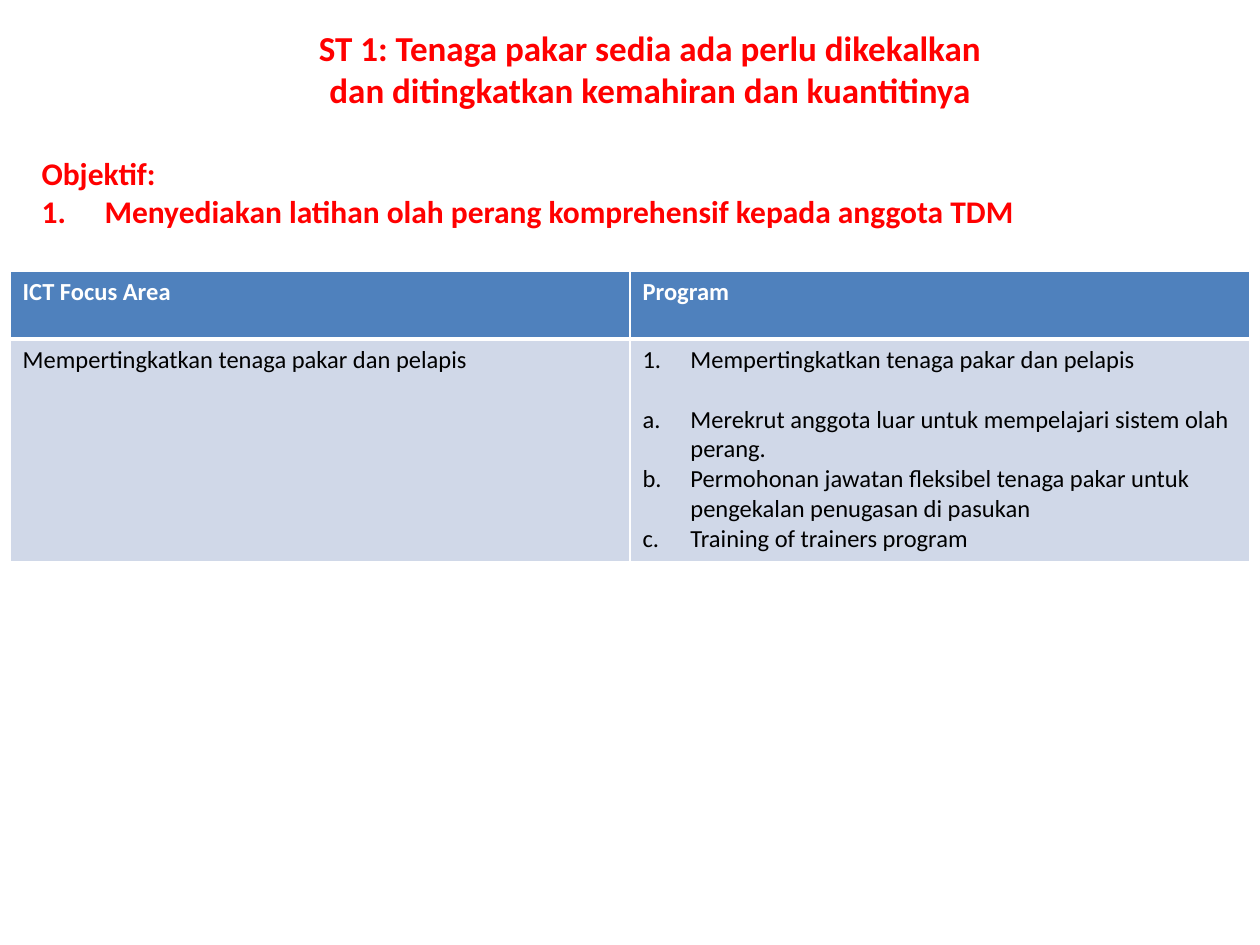
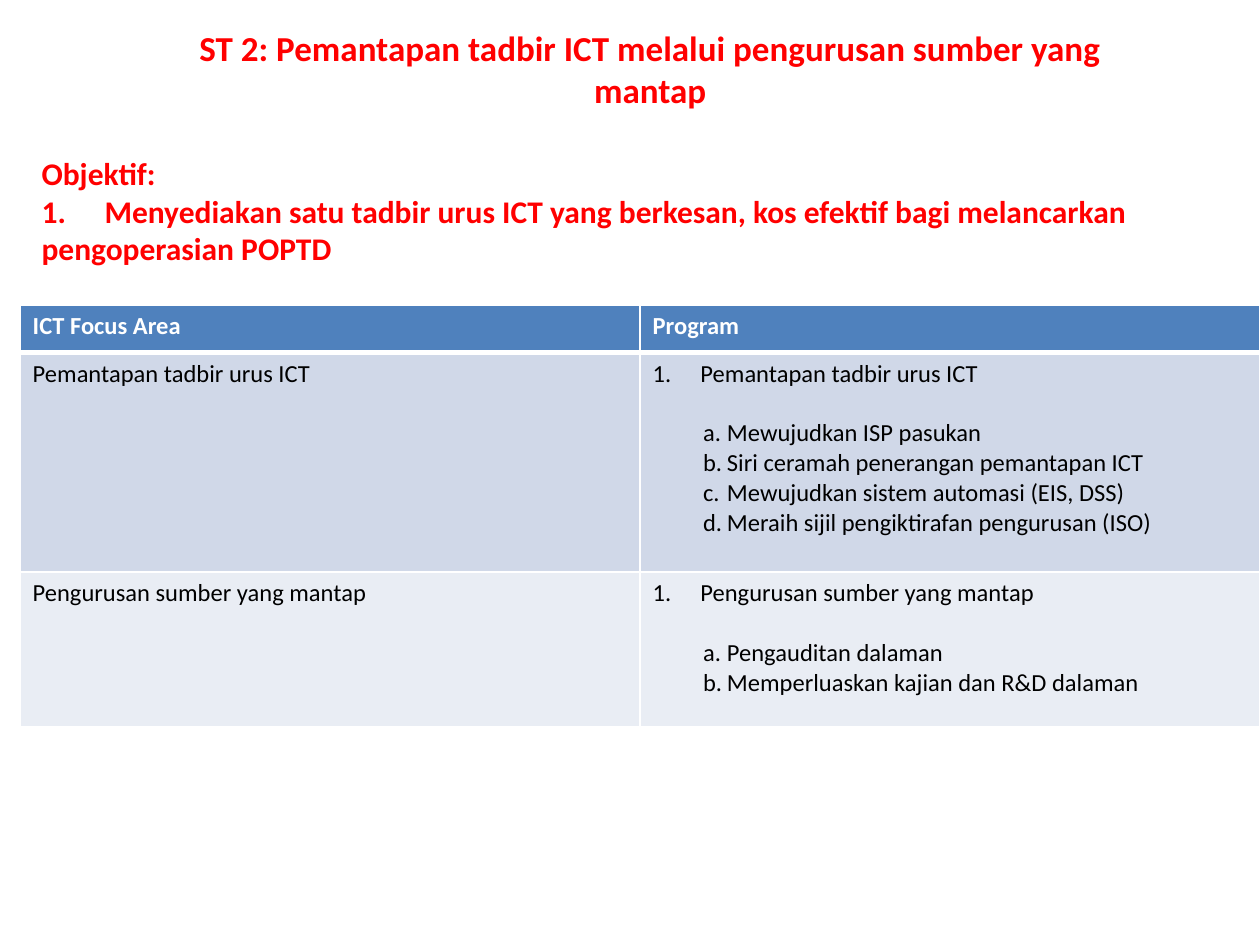
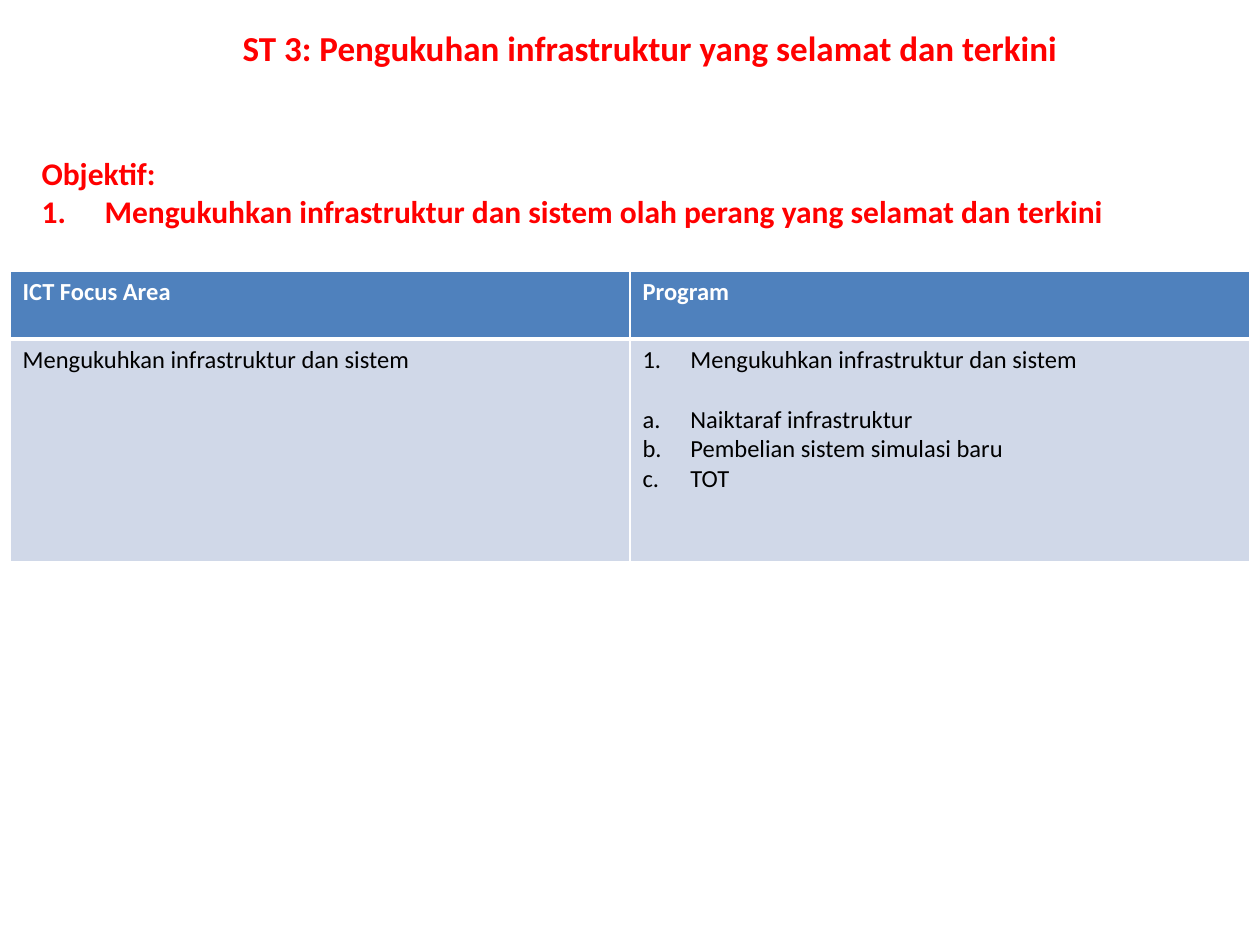
from dataclasses import dataclass
from typing import NamedTuple

from lxml.etree import SubElement
from pptx import Presentation
from pptx.dml.color import RGBColor
from pptx.enum.text import MSO_ANCHOR, MSO_AUTO_SIZE, PP_ALIGN
from pptx.oxml.ns import qn
from pptx.util import Inches, Length, Pt


@dataclass(frozen=True)
class Theme:
    font: str = "Calibri"
    accent: RGBColor = RGBColor(0xFF, 0x00, 0x00)
    header: RGBColor = RGBColor(0x4F, 0x81, 0xBD)
    bands: tuple = (RGBColor(0xD0, 0xD8, 0xE8), RGBColor(0xE9, 0xED, 0xF4))
    white: RGBColor = RGBColor(0xFF, 0xFF, 0xFF)
    black: RGBColor = RGBColor(0x00, 0x00, 0x00)
    title_size: Length = Pt(20)
    objective_size: Length = Pt(18)
    table_size: Length = Pt(14)
    list_gap: Length = Pt(17)
    thin: Length = Pt(1)
    thick: Length = Pt(3)


class Hanging(NamedTuple):
    """Left edge of the text and room for the number before it."""
    left: Length
    number_width: Length


class FocusArea(NamedTuple):
    name: str
    programs: tuple[str, ...]


@dataclass(frozen=True)
class Strategy:
    title: tuple[str, ...]
    objective: str
    objective_tab: Length
    areas: tuple[FocusArea, ...]
    table_left: Length = Inches(0.08)
    table_top: Length = Inches(2.15)
    row_heights: tuple[Length, ...] = (Inches(0.54), Inches(1.77))
    title_height: Length = Inches(1.78)
    program_indent: Hanging = Hanging(Inches(0.38), Inches(0.38))


THEME = Theme()
HEADINGS = ("ICT Focus Area", "Program")
COLUMN_WIDTH = Inches(4.92)
AREA_INDENT = Hanging(Inches(0.38), Inches(0.38))

STRATEGIES = (
    Strategy(
        ("ST 1: Tenaga pakar sedia ada perlu dikekalkan",
         "dan ditingkatkan kemahiran dan kuantitinya"),
        "Menyediakan latihan olah perang komprehensif kepada anggota TDM",
        Inches(0.25),
        (FocusArea("Mempertingkatkan tenaga pakar dan pelapis", (
            "Merekrut anggota luar untuk mempelajari sistem olah perang.",
            "Permohonan jawatan fleksibel tenaga pakar untuk pengekalan penugasan di pasukan",
            "Training of trainers program")),),
    ),
    Strategy(
        ("ST 2: Pemantapan tadbir ICT melalui pengurusan sumber yang mantap",),
        "Menyediakan satu tadbir urus ICT yang berkesan, kos efektif bagi "
        "melancarkan pengoperasian POPTD",
        Inches(0.37),
        (FocusArea("Pemantapan tadbir urus ICT", (
            "Mewujudkan ISP pasukan",
            "Siri ceramah penerangan pemantapan ICT",
            "Mewujudkan sistem automasi (EIS, DSS)",
            "Meraih sijil pengiktirafan pengurusan (ISO)")),
         FocusArea("Pengurusan sumber yang mantap", (
             "Pengauditan dalaman",
             "Memperluaskan kajian dan R&D dalaman"))),
        table_left=Inches(0.16),
        table_top=Inches(2.42),
        row_heights=(Inches(0.38), Inches(1.74), Inches(1.23)),
        program_indent=Hanging(Inches(0.59), Inches(0.19)),
    ),
    Strategy(
        ("ST 3: Pengukuhan infrastruktur yang selamat dan terkini",),
        "Mengukuhkan infrastruktur dan sistem olah perang yang selamat dan terkini",
        Inches(0.31),
        (FocusArea("Mengukuhkan infrastruktur dan sistem", (
            "Naiktaraf infrastruktur",
            "Pembelian sistem simulasi baru",
            "TOT")),),
        title_height=Inches(1.45),
    ),
)


def write(paragraph, text: str, size: Length, color: RGBColor, bold: bool) -> None:
    run = paragraph.add_run()
    run.text = text
    style = {"name": THEME.font, "size": size, "bold": bold}
    for attribute, value in style.items():
        setattr(run.font, attribute, value)
    run.font.color.rgb = color


def add_paragraphs(text_frame, count: int) -> list:
    while len(text_frame.paragraphs) < count:
        text_frame.add_paragraph()
    return list(text_frame.paragraphs)


def set_number(paragraph, scheme: str, indent: Hanging) -> None:
    properties = paragraph._p.get_or_add_pPr()
    properties.set("marL", str(indent.left))
    properties.set("indent", str(-indent.number_width))
    SubElement(properties, qn("a:buFont"), typeface="+mj-lt")
    SubElement(properties, qn("a:buAutoNum"), type=scheme)


def fill_placeholder(shape, box: tuple, lines: tuple, size: Length,
                     alignment: PP_ALIGN, tab: Length | None = None) -> None:
    shape.left, shape.top, shape.width, shape.height = box
    frame = shape.text_frame
    settings = {"word_wrap": True, "auto_size": MSO_AUTO_SIZE.NONE,
                "vertical_anchor": MSO_ANCHOR.TOP}
    for attribute, value in settings.items():
        setattr(frame, attribute, value)
    for paragraph, line in zip(add_paragraphs(frame, len(lines)), lines):
        paragraph.alignment = alignment
        paragraph.space_before = Pt(0)
        properties = paragraph._p.get_or_add_pPr()
        properties.set("marL", "0")
        properties.set("indent", "0")
        SubElement(properties, qn("a:buNone"))
        if tab is not None:
            stops = SubElement(properties, qn("a:tabLst"))
            SubElement(stops, qn("a:tab"), pos=str(tab), algn="l")
        write(paragraph, line, size, THEME.accent, True)


def style_cell(cell, fill: RGBColor, bottom: Length) -> None:
    properties = cell._tc.get_or_add_tcPr()
    widths = {"lnL": THEME.thin, "lnR": THEME.thin, "lnT": THEME.thin, "lnB": bottom}
    for side, width in widths.items():
        line = SubElement(properties, qn(f"a:{side}"), w=str(width))
        solid = SubElement(line, qn("a:solidFill"))
        SubElement(solid, qn("a:srgbClr"), val=str(THEME.white))
    cell.fill.solid()
    cell.fill.fore_color.rgb = fill


def write_programs(cell, area: FocusArea, indent: Hanging) -> None:
    """Write the area's name as item 1, then its programs lettered from a."""
    heading, *items = add_paragraphs(cell.text_frame, 1 + len(area.programs))
    set_number(heading, "arabicPeriod", AREA_INDENT)
    write(heading, area.name, THEME.table_size, THEME.black, False)
    items[0].space_before = THEME.list_gap
    for paragraph, program in zip(items, area.programs):
        set_number(paragraph, "alphaLcPeriod", indent)
        write(paragraph, program, THEME.table_size, THEME.black, False)


def add_focus_table(slide, strategy: Strategy) -> None:
    heights = strategy.row_heights
    frame = slide.shapes.add_table(
        len(heights), len(HEADINGS), strategy.table_left, strategy.table_top,
        COLUMN_WIDTH * len(HEADINGS), sum(heights))
    frame.element.getparent().insert(2, frame.element)
    table = frame.table
    for column in table.columns:
        column.width = COLUMN_WIDTH
    for row, height in zip(table.rows, heights):
        row.height = height
    for index, heading in enumerate(HEADINGS):
        cell = table.cell(0, index)
        style_cell(cell, THEME.header, THEME.thick)
        write(cell.text_frame.paragraphs[0], heading, THEME.table_size, THEME.white, True)
    for index, area in enumerate(strategy.areas):
        name_cell, program_cell = table.rows[index + 1].cells
        for cell in (name_cell, program_cell):
            style_cell(cell, THEME.bands[index % len(THEME.bands)], THEME.thin)
        write(name_cell.text_frame.paragraphs[0], area.name,
              THEME.table_size, THEME.black, False)
        write_programs(program_cell, area, strategy.program_indent)


def add_strategy_slide(presentation, strategy: Strategy) -> None:
    slide = presentation.slides.add_slide(presentation.slide_layouts[1])
    title_box = (Inches(1.02), Inches(0.16), Inches(8.28), strategy.title_height)
    objective_box = (Inches(0.23), Inches(1.17), Inches(9.53), Inches(1.62))
    fill_placeholder(slide.shapes.title, title_box, strategy.title,
                     THEME.title_size, PP_ALIGN.CENTER)
    fill_placeholder(slide.placeholders[1], objective_box,
                     ("Objektif:", f"1.\t{strategy.objective}"),
                     THEME.objective_size, PP_ALIGN.LEFT, strategy.objective_tab)
    add_focus_table(slide, strategy)


def main() -> None:
    presentation = Presentation()
    presentation.slide_width = Inches(10)
    presentation.slide_height = Inches(7.5)
    for strategy in STRATEGIES:
        add_strategy_slide(presentation, strategy)
    presentation.save("out.pptx")


if __name__ == "__main__":
    main()
